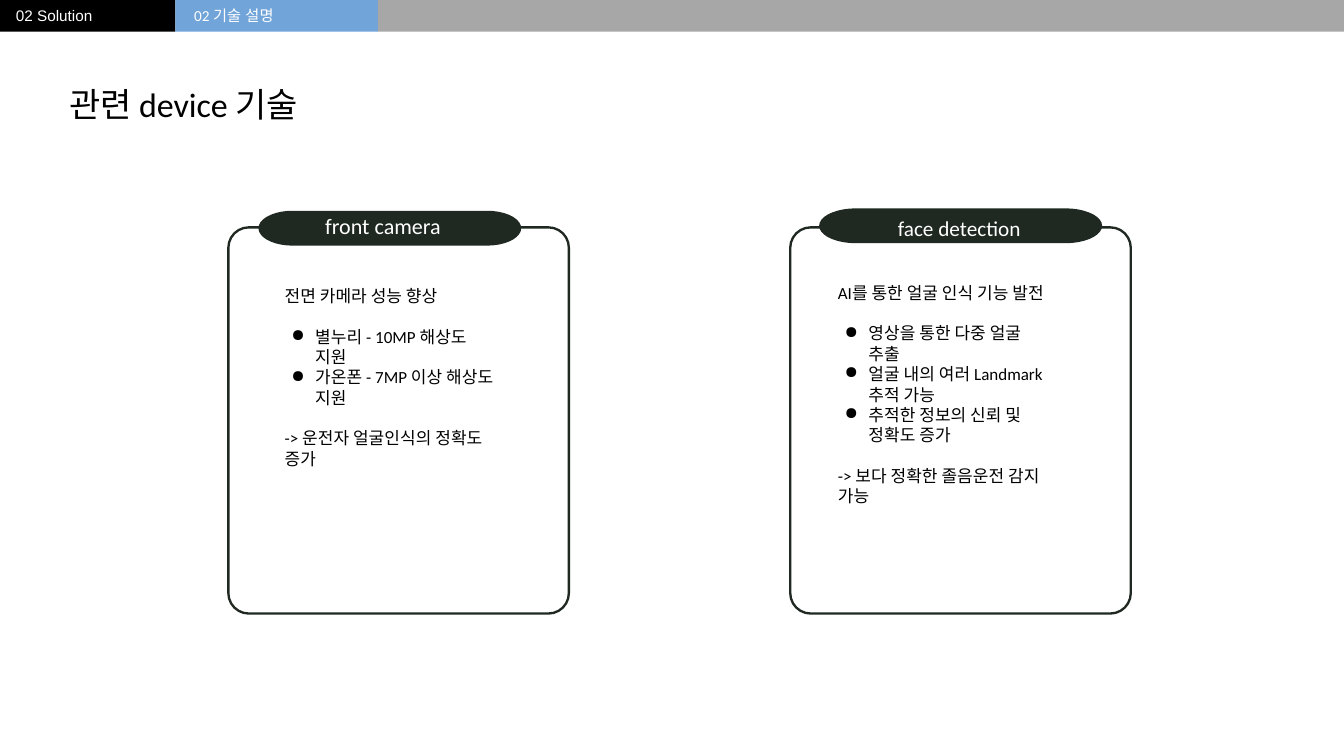
import math

from lxml import etree
from pptx import Presentation
from pptx.dml.color import RGBColor
from pptx.enum.shapes import MSO_SHAPE
from pptx.oxml.ns import qn
from pptx.util import Cm, Pt

RECTANGLE = MSO_SHAPE.RECTANGLE
ROUNDED = MSO_SHAPE.ROUNDED_RECTANGLE

BLACK = RGBColor(0x00, 0x00, 0x00)
WHITE = RGBColor(0xFF, 0xFF, 0xFF)
BLUE = RGBColor(0x71, 0xA4, 0xD9)
GRAY = RGBColor(0xA7, 0xA7, 0xA7)
DARK = RGBColor(0x1F, 0x28, 0x21)

FORMATS = {
    "title": {"size": Pt(40), "name": "Calibri", "color": BLACK},
    "camera": {"size": Pt(26), "name": "Calibri", "color": WHITE},
    "face": {"size": Pt(25), "name": "Calibri", "color": WHITE},
    "body": {"size": Pt(20), "name": "Calibri", "color": BLACK},
    "number": {"size": Pt(18), "name": "Calibri", "color": WHITE},
    "header": {"size": Pt(18), "name": "Arial", "color": WHITE},
}

deck = Presentation()
deck.slide_width, deck.slide_height = Cm(55.85), Cm(31.42)
page = deck.slides.add_slide(deck.slide_layouts[6])


def add_text(left, top, width, height, paragraphs, inset=0.25):
    """Each paragraph is a list of (text, format name) spans."""
    box = page.shapes.add_textbox(Cm(left), Cm(top), Cm(width), Cm(height))
    frame = box.text_frame
    frame.word_wrap = True
    frame.margin_left = frame.margin_right = Cm(0.25)
    frame.margin_top = frame.margin_bottom = Cm(inset)
    for index, spans in enumerate(paragraphs):
        para = frame.add_paragraph() if index else frame.paragraphs[0]
        for text, style in spans:
            span = para.add_run()
            span.text = text
            for key, value in FORMATS[style].items():
                if key == "color":
                    span.font.color.rgb = value
                else:
                    setattr(span.font, key, value)
            east_asian = etree.SubElement(span.font._element, qn("a:ea"))
            east_asian.set("typeface", FORMATS[style]["name"])
    return frame


def fill_plain(shape, color):
    shape.shadow.inherit = False
    shape.fill.solid()
    shape.fill.fore_color.rgb = color
    shape.line.fill.background()


# Header bars
for left, right, color in [(0, 7.29, BLACK), (7.29, 15.7, BLUE), (15.7, 55.85, GRAY)]:
    bar = page.shapes.add_shape(RECTANGLE, Cm(left), Cm(0), Cm(right - left), Cm(1.32))
    fill_plain(bar, color)

# Header labels and title
add_text(0.41, 0.15, 7.29, 1.02, [[("02 Solution", "header")]], 0.13)
add_text(7.82, 0.15, 7.29, 1.02, [[("02 ", "number"), ("기술 설명", "header")]], 0.13)
add_text(2.62, 3.23, 23.16, 2.24, [[("관련 device 기술", "title")]])

# Cards: frame left, pill (left, top, width), label, body
CARDS = [
    {
        "left": 9.49,
        "pill": (10.74, 8.76, 10.92),
        "label": (13.26, 8.59, 8.41, 1.63, [[("front camera", "camera")]]),
        "body": (11.58, 11.61, 9.22, 8.2),
        "intro": "전면 카메라 성능 향상",
        "points": ["별누리 - 10MP 해상도 지원", "가온폰 - 7MP 이상 해상도 지원"],
        "result": "-> 운전자 얼굴인식의 정확도 증가",
    },
    {
        "left": 32.84,
        "pill": (34.04, 8.66, 11.76),
        "label": (37.06, 8.69, 6.73, 1.57, [[("face detection", "face")]]),
        "body": (34.57, 11.48, 9.22, 10.77),
        "intro": "AI를 통한 얼굴 인식 기능 발전",
        "points": [
            "영상을 통한 다중 얼굴 추출",
            "얼굴 내의 여러 Landmark 추적 가능",
            "추적한 정보의 신뢰 및 정확도 증가",
        ],
        "result": "-> 보다 정확한 졸음운전 감지 가능",
    },
]
PILL_HEIGHT = 1.45

for card in CARDS:
    # Rounded frame
    frame = page.shapes.add_shape(ROUNDED, Cm(card["left"]), Cm(9.45), Cm(14.15), Cm(16.05))
    frame.adjustments[0] = 0.06
    frame.shadow.inherit = False
    frame.fill.background()
    frame.line.color.rgb = DARK
    frame.line.width = Pt(2.75)

    # Pill with half-ellipse ends
    left, top, width = card["pill"]
    end = width * 0.13
    outline = []
    for center, start in [(left + width - end, -90), (left + end, 90)]:
        for angle in range(start, start + 181, 10):
            x = center + end * math.cos(math.radians(angle))
            y = top + PILL_HEIGHT / 2 * (1 + math.sin(math.radians(angle)))
            outline.append((Cm(x), Cm(y)))
    builder = page.shapes.build_freeform(*outline[0])
    builder.add_line_segments(outline[1:], close=True)
    fill_plain(builder.convert_to_shape(), DARK)

    # Label and body
    add_text(*card["label"])
    lines = [card["intro"], *card["points"], card["result"]]
    body = add_text(*card["body"], [[(line, "body")] for line in lines])
    points = body.paragraphs[1:-1]
    for para in (points[0], body.paragraphs[-1]):
        para.space_before = Pt(24)
    for para in points:
        properties = para._p.get_or_add_pPr()
        properties.set("marL", str(Cm(1.27)))
        properties.set("indent", str(Cm(-0.99)))
        bullet_color = etree.SubElement(properties, qn("a:buClr"))
        etree.SubElement(bullet_color, qn("a:srgbClr")).set("val", str(BLACK))
        etree.SubElement(properties, qn("a:buChar")).set("char", "●")

deck.save("out.pptx")
